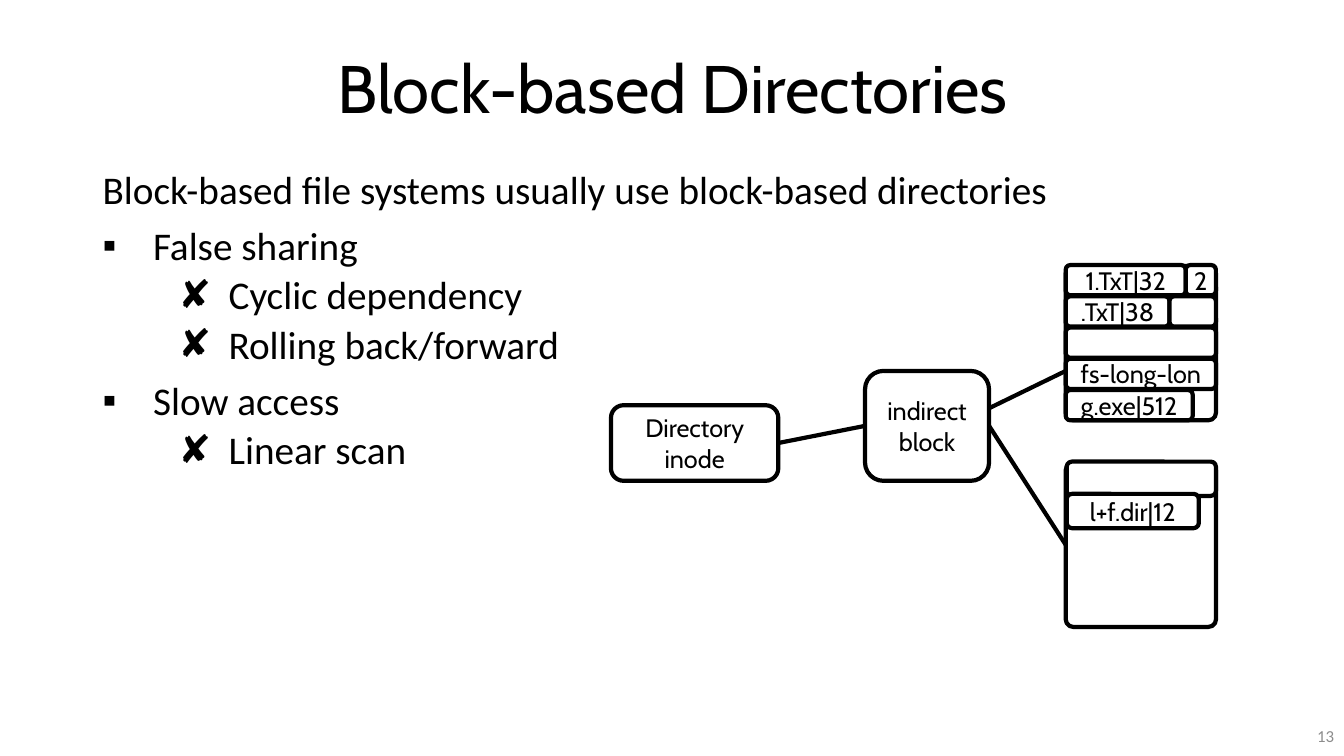
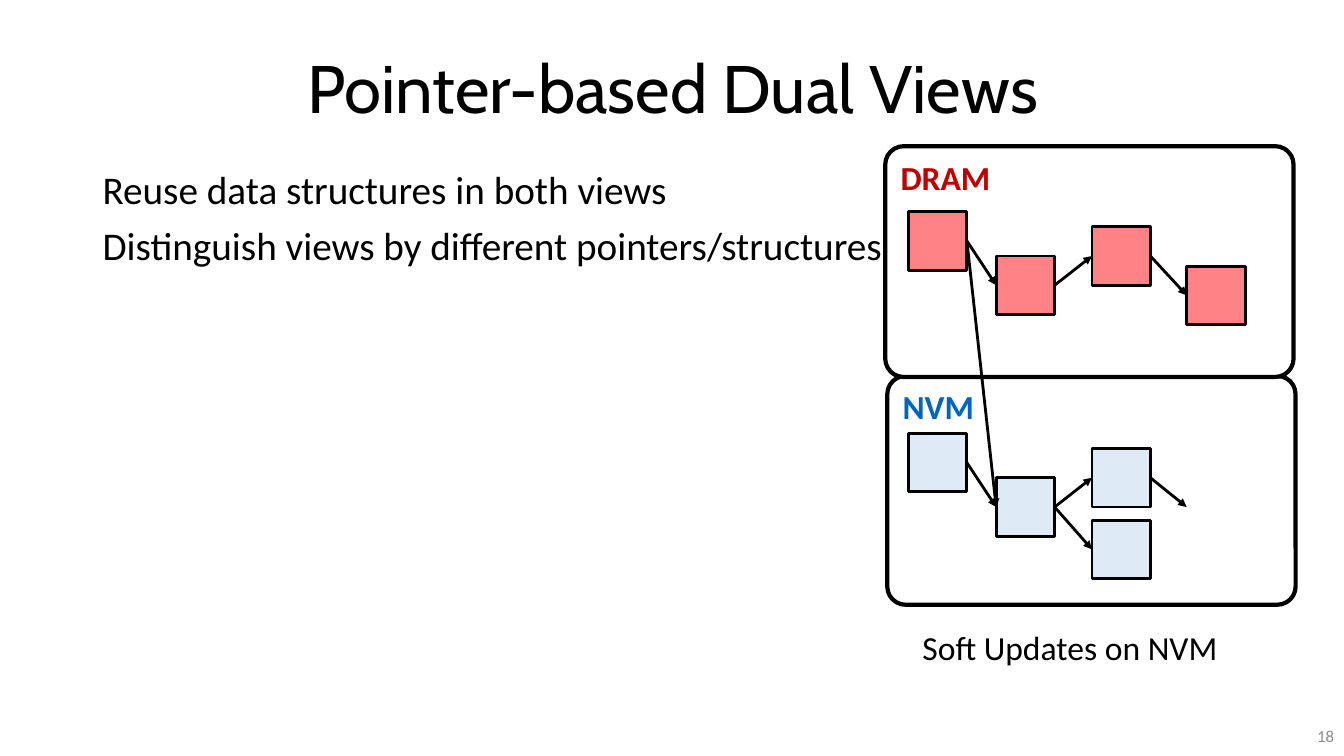
from dataclasses import dataclass

import pptx
import pptx.dml.color
import pptx.enum.shapes
import pptx.enum.text
import pptx.oxml.ns
import pptx.util
from lxml import etree

Inches = pptx.util.Inches
Pt = pptx.util.Pt
SHAPE = pptx.enum.shapes.MSO_SHAPE
ALIGN = pptx.enum.text.PP_ALIGN
ANCHOR = pptx.enum.text.MSO_ANCHOR
AUTO_SIZE = pptx.enum.text.MSO_AUTO_SIZE
LEFT_SITE, RIGHT_SITE = 1, 3


@dataclass(frozen=True)
class Theme:
    heading_font: str = "Cabin"
    body_font: str = "Calibri"
    ink: str = "000000"
    paper: str = "FFFFFF"
    muted: str = "8C8C8C"
    dram: str = "C00000"
    dram_node: str = "FF8286"
    nvm: str = "0165C0"
    nvm_node: str = "DEEBF7"
    title_size: int = 48
    body_size: int = 28
    caption_size: int = 24
    label_size: int = 18
    number_size: int = 12
    heavy: int = 3
    thin: int = 2


def rgb(value):
    return pptx.dml.color.RGBColor.from_string(value)


def add_xml(parent, tag, **attributes):
    return etree.SubElement(parent, pptx.oxml.ns.qn(tag), attributes)


class Deck:
    def __init__(self, theme):
        self.theme = theme
        self.prs = pptx.Presentation()
        self.prs.slide_width = Inches(13.33)
        self.prs.slide_height = Inches(7.5)
        self.s = None

    def slide(self, title, number):
        t = self.theme
        self.s = self.prs.slides.add_slide(self.prs.slide_layouts.get_by_name("Title Only"))
        sp = self.s.shapes.title
        sp.left, sp.top = Inches(0.92), Inches(0.4)
        sp.width, sp.height = Inches(11.5), Inches(1.02)
        tf = sp.text_frame
        tf.auto_size = AUTO_SIZE.NONE
        tf.vertical_anchor = ANCHOR.MIDDLE
        p = tf.paragraphs[0]
        p.line_spacing = 0.9
        self.run(p, title, t.title_size, font=t.heading_font, align=ALIGN.CENTER)
        tf = self.text_box(10.33, 7.1, 3, 0.4)
        tf.vertical_anchor = ANCHOR.MIDDLE
        self.run(tf.paragraphs[0], str(number), t.number_size, t.muted, align=ALIGN.RIGHT)

    def run(self, p, text, size, color=None, font=None, bold=False, align=ALIGN.LEFT):
        p.alignment = align
        r = p.add_run()
        r.text = text
        r.font.size = Pt(size)
        r.font.name = font or self.theme.body_font
        r.font.color.rgb = rgb(color or self.theme.ink)
        r.font.bold = bold

    def text_box(self, left, top, width, height):
        box = self.s.shapes.add_textbox(Inches(left), Inches(top), Inches(width), Inches(height))
        box.text_frame.word_wrap = True
        return box.text_frame

    def body(self, *items):
        """Write (level, text) items: 0 is plain, 1 a square bullet, 2 a cross bullet."""
        tf = self.text_box(0.92, 1.64, 11.5, 5.12)
        for i, (level, text) in enumerate(items):
            p = tf.add_paragraph() if i else tf.paragraphs[0]
            if level:
                p.level = level - 1
                pPr = p._p.get_or_add_pPr()
                pPr.set("marL", str(Inches((0.5, 1.25)[level - 1])))
                pPr.set("indent", str(Inches(-0.5)))
                add_xml(pPr, "a:buFont", typeface="Arial")
                add_xml(pPr, "a:buChar", char="▪✘"[level - 1])
            p.line_spacing = 0.9
            if i:
                p.space_before = Pt(5 if level == 2 else 10)
            self.run(p, text, self.theme.body_size)

    def caption(self, text, left, top, width, height):
        tf = self.text_box(left, top, width, height)
        tf.word_wrap = False
        tf.auto_size = AUTO_SIZE.SHAPE_TO_FIT_TEXT
        self.run(tf.paragraphs[0], text, self.theme.caption_size)

    def shape(self, kind, left, top, width, height, fill, weight, corner=None):
        sp = self.s.shapes.add_shape(kind, Inches(left), Inches(top), Inches(width), Inches(height))
        sp.shadow.inherit = False
        sp.fill.solid()
        sp.fill.fore_color.rgb = rgb(fill)
        sp.line.color.rgb = rgb(self.theme.ink)
        sp.line.width = Pt(weight)
        if corner is not None:
            sp.adjustments[0] = corner
        return sp

    def box(self, left, top, width, height, *lines, corner=None):
        t = self.theme
        sp = self.shape(SHAPE.ROUNDED_RECTANGLE, left, top, width, height, t.paper, t.heavy, corner)
        tf = sp.text_frame
        tf.word_wrap = True
        tf.margin_left = tf.margin_right = tf.margin_top = tf.margin_bottom = 0
        for i, line in enumerate(lines):
            p = tf.add_paragraph() if i else tf.paragraphs[0]
            self.run(p, line, t.label_size, font=t.heading_font, align=ALIGN.CENTER)
        return sp

    def records(self, left, top, pitch, height, rows):
        """Stack rows of (text, width) directory entries."""
        for i, row in enumerate(rows):
            x = left
            for text, width in row:
                self.box(x, top + i * pitch, width, height, *([text] if text else []), corner=0.15)
                x += width

    def panel(self, name, color, left, top, width, height):
        t = self.theme
        sp = self.shape(SHAPE.ROUNDED_RECTANGLE, left, top, width, height, t.paper, t.heavy, 0.08)
        tf = sp.text_frame
        tf.word_wrap = True
        tf.vertical_anchor = ANCHOR.TOP
        self.run(tf.paragraphs[0], name, t.caption_size, color, bold=True)

    def node(self, left, top, fill):
        return self.shape(SHAPE.RECTANGLE, left, top, 0.58, 0.58, fill, self.theme.thin)

    def line(self, start, end, weight, arrow=False):
        """Join two ends, each a shape (right side to left side) or a point."""
        points = [Inches(v) for end_ in (start, end)
                  for v in (end_ if isinstance(end_, tuple) else (0, 0))]
        cn = self.s.shapes.add_connector(pptx.enum.shapes.MSO_CONNECTOR.STRAIGHT, *points)
        if not isinstance(start, tuple):
            cn.begin_connect(start, RIGHT_SITE)
        if not isinstance(end, tuple):
            cn.end_connect(end, LEFT_SITE)
        cn.line.color.rgb = rgb(self.theme.ink)
        cn.line.width = Pt(weight)
        if arrow:
            add_xml(cn.line._get_or_add_ln(), "a:tailEnd", type="triangle")
        add_xml(cn._element.spPr, "a:effectLst")

    def arrow(self, start, end):
        self.line(start, end, self.theme.thin, arrow=True)


def block_directories(deck):
    deck.slide("Block-based Directories", 13)
    deck.body((0, "Block-based file systems usually use block-based directories"),
              (1, "False sharing"),
              (2, "Cyclic dependency"),
              (2, "Rolling back/forward"),
              (1, "Slow access"),
              (2, "Linear scan"))
    inode = deck.box(6.06, 4.02, 1.66, 0.75, "Directory inode")
    indirect = deck.box(8.58, 3.68, 1.23, 1.09, "indirect", "block")
    block_left, block_width = 10.57, 1.49
    deck.box(block_left, 2.64, block_width, 1.53, corner=0.05)
    deck.records(block_left, 2.63, 0.31, 0.3, [
        [("1.TxT|32", 1.19), ("2", 0.3)],
        [(".TxT|38", 1.03), ("", 0.46)],
        [("", block_width)],
        [("fs-long-lon", block_width)],
        [("g.exe|512", 1.26)],
    ])
    second_block = deck.box(block_left, 4.59, block_width, 1.63, corner=0.05)
    deck.records(block_left + 0.01, 4.58, 0.32, 0.34, [[("", 1.48)], [("l+f.dir|12", 1.31)]])
    heavy = deck.theme.heavy
    deck.line(inode, indirect, heavy)
    deck.line((9.81, 4.05), (block_left, 3.68), heavy)
    deck.line(indirect, second_block, heavy)


def dual_views(deck):
    t = deck.theme
    deck.slide("Pointer-based Dual Views", 18)
    deck.body((0, "Reuse data structures in both views"),
              (0, "Distinguish views by different pointers/structures"))
    deck.panel("NVM", t.nvm, 8.8, 3.73, 4.05, 2.27)
    deck.panel("DRAM", t.dram, 8.78, 1.45, 4.05, 2.29)
    deck.caption("Soft Updates on NVM", 9.05, 6.17, 3.16, 0.5)

    columns = (9.01, 9.88, 10.83, 11.77)
    drops = (0, 0.44, 0.15, 0.54)
    dram = [deck.node(x, 2.1 + dy, t.dram_node) for x, dy in zip(columns, drops)]
    nvm = [deck.node(x, 4.3 + dy, t.nvm_node) for x, dy in zip(columns[:3], drops)]
    branch = deck.node(columns[2], 5.16, t.nvm_node)
    for chain in (dram, nvm):
        for start, end in zip(chain, chain[1:]):
            deck.arrow(start, end)
    deck.arrow(nvm[1], branch)
    deck.arrow(dram[0], nvm[1])
    deck.arrow(nvm[2], (columns[3], 5.03))


def main():
    deck = Deck(Theme())
    block_directories(deck)
    dual_views(deck)
    deck.prs.save("out.pptx")


if __name__ == "__main__":
    main()
